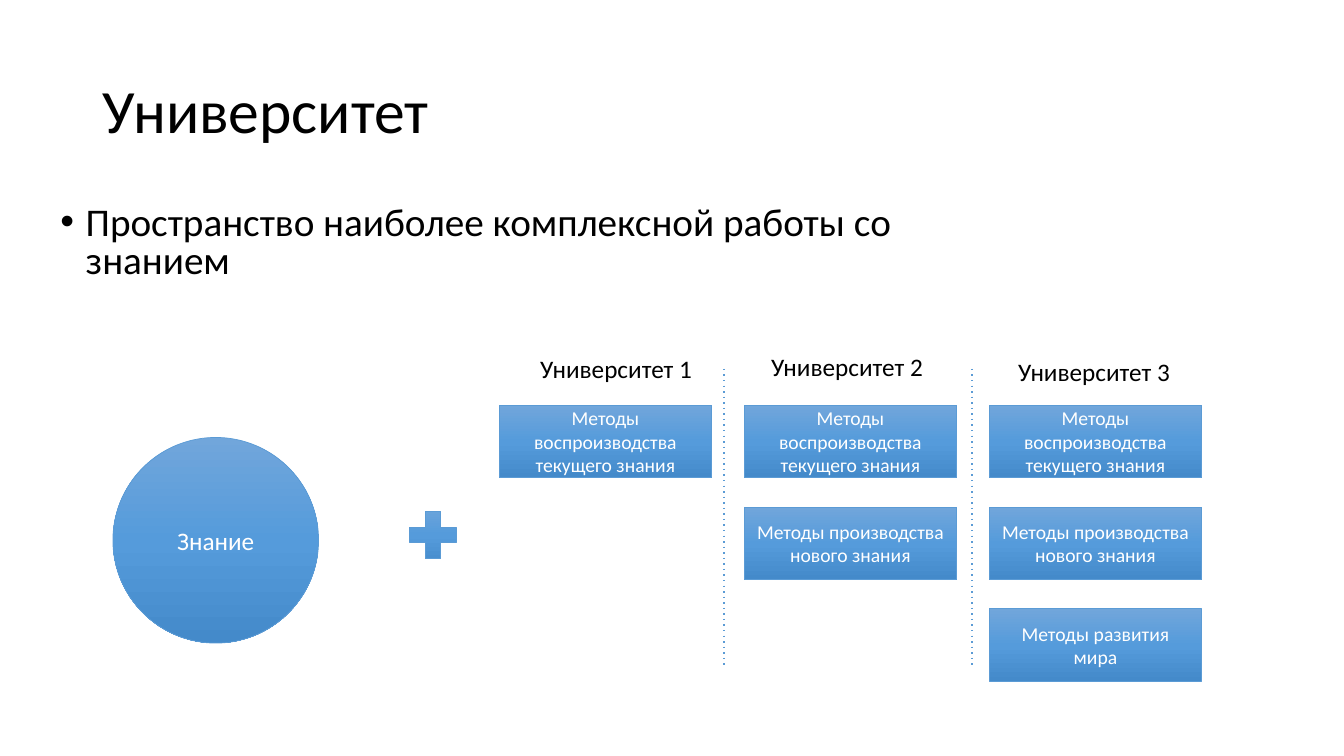
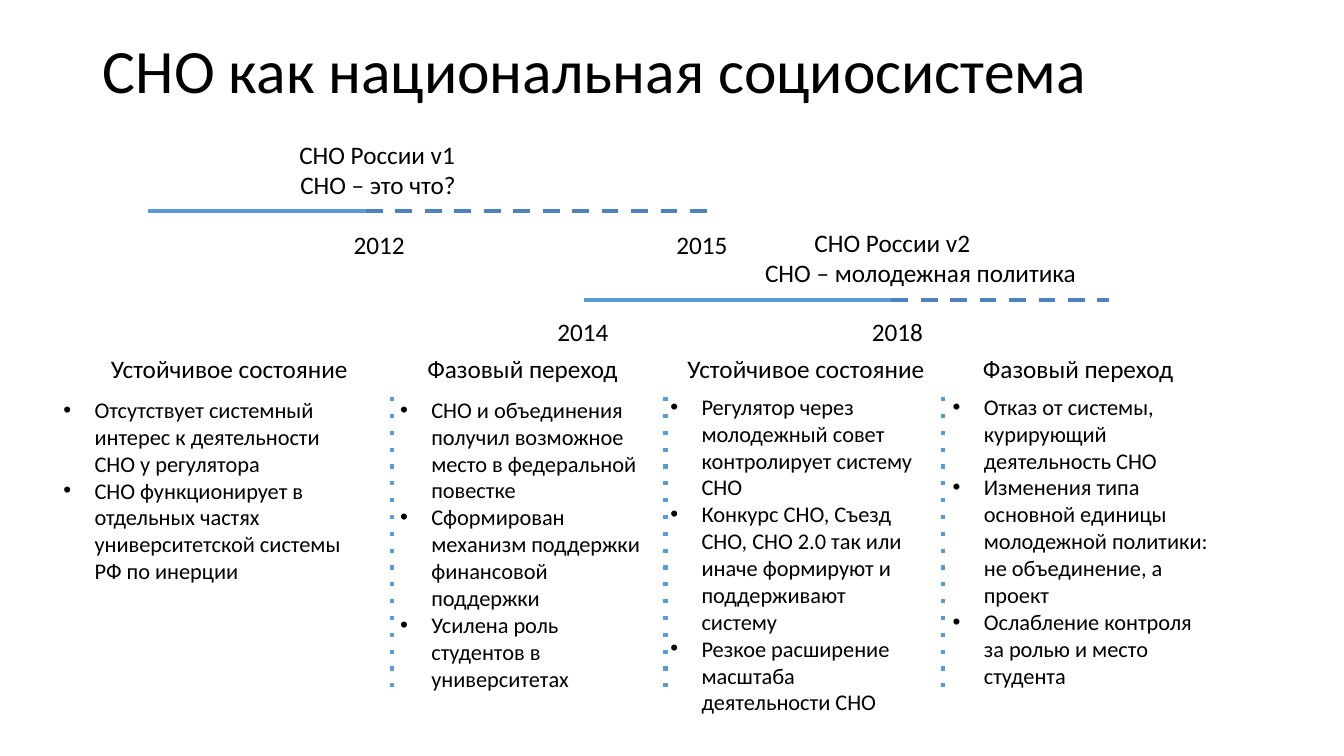
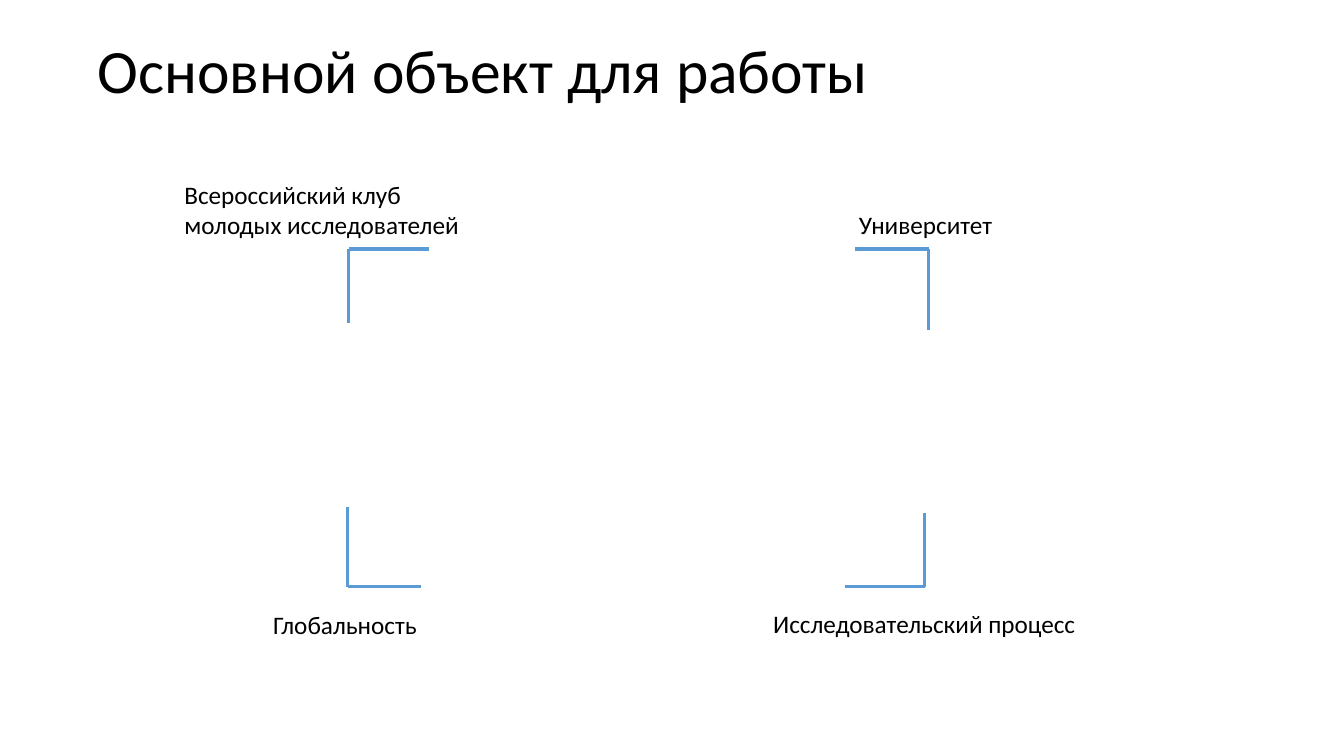
import copy
import dataclasses
import typing

import lxml.etree
import pptx
import pptx.dml.color
import pptx.enum.dml
import pptx.enum.shapes
import pptx.enum.text
import pptx.oxml.ns
import pptx.slide
import pptx.util

Inches = pptx.util.Inches
Pt = pptx.util.Pt
qn = pptx.oxml.ns.qn
Align = pptx.enum.text.PP_ALIGN
Anchor = pptx.enum.text.MSO_ANCHOR
AutoSize = pptx.enum.text.MSO_AUTO_SIZE
Preset = pptx.enum.shapes.MSO_SHAPE

FONT = "Calibri"
BLACK, WHITE = "000000", "FFFFFF"
BLUE, DARK_BLUE = "5B9BD5", "4F81BD"
GRADIENT = ((0, "71A6DB"), (0.5, "559BDB"), (1, "448ACA"))
TITLE_ONLY, TITLE_AND_BODY = 5, 1
LABEL_HEIGHT = 0.4
BULLET_INDENT = 0.31

TITLE_FRAME = {"vertical_anchor": Anchor.MIDDLE, "auto_size": AutoSize.NONE, "word_wrap": True}
TITLE_PARAGRAPH = {"alignment": Align.LEFT, "line_spacing": 0.9}
BODY_FRAME = {"vertical_anchor": Anchor.TOP, "auto_size": AutoSize.NONE, "word_wrap": True}
BODY_PARAGRAPH = {"alignment": Align.LEFT, "line_spacing": 0.8, "space_before": Pt(10)}
SHAPE_FRAME = {"vertical_anchor": Anchor.MIDDLE, "word_wrap": True}
LABEL_FRAME = {"word_wrap": False, "auto_size": AutoSize.SHAPE_TO_FIT_TEXT}
LIST_FRAME = {"word_wrap": True, "auto_size": AutoSize.SHAPE_TO_FIT_TEXT}


@dataclasses.dataclass(frozen=True)
class Box:
    left: float
    top: float
    width: float
    height: float = LABEL_HEIGHT

    def emu(self) -> tuple[int, ...]:
        return tuple(Inches(v) for v in dataclasses.astuple(self))


@dataclasses.dataclass(frozen=True)
class Label:
    box: Box
    text: str


@dataclasses.dataclass(frozen=True)
class Line:
    x1: float
    y1: float
    x2: float
    y2: float
    width: float = 3
    color: str = BLUE
    dash: str = "solid"


@dataclasses.dataclass(frozen=True)
class Phase:
    heading: Label
    box: Box
    items: tuple[str, ...]


@dataclasses.dataclass(frozen=True)
class Corner:
    """A corner point with the signed lengths of its two arms."""
    x: float
    y: float
    dx: float
    dy: float


def rgb(value: str) -> pptx.dml.color.RGBColor:
    return pptx.dml.color.RGBColor.from_string(value)


def apply(target: typing.Any, values: dict[str, typing.Any]) -> None:
    for name, value in values.items():
        setattr(target, name, value)


def place(sp: typing.Any, box: Box) -> None:
    apply(sp, dict(zip(("left", "top", "width", "height"), box.emu())))


def write(sp: typing.Any, lines: typing.Iterable[str], size: float, color: str,
          frame: dict[str, typing.Any], paragraph: dict[str, typing.Any]) -> None:
    tf = sp.text_frame
    apply(tf, frame)
    for i, text in enumerate(lines):
        p = tf.add_paragraph() if i else tf.paragraphs[0]
        apply(p, paragraph)
        r = p.add_run()
        r.text = text
        apply(r.font, {"name": FONT, "size": Pt(size)})
        r.font.color.rgb = rgb(color)


def add_bullets(sp: typing.Any, indent: float) -> None:
    for p in sp.text_frame.paragraphs:
        ppr = p._p.get_or_add_pPr()
        ppr.set("marL", str(Inches(indent)))
        ppr.set("indent", str(-Inches(indent)))
        lxml.etree.SubElement(ppr, qn("a:buFont")).set("typeface", "Arial")
        lxml.etree.SubElement(ppr, qn("a:buChar")).set("char", "•")


def add_slide(prs: typing.Any, layout: int, title: str, left: float = 0.92,
              top: float = 0) -> pptx.slide.Slide:
    s = prs.slides.add_slide(prs.slide_layouts[layout])
    place(s.shapes.title, Box(left, top, 11.5, 1.45))
    write(s.shapes.title, [title], 44, BLACK, TITLE_FRAME, TITLE_PARAGRAPH)
    return s


def add_label(s: pptx.slide.Slide, label: Label) -> None:
    sp = s.shapes.add_textbox(*label.box.emu())
    write(sp, label.text.split("\n"), 18, BLACK, LABEL_FRAME, {})


def add_list(s: pptx.slide.Slide, box: Box, items: tuple[str, ...]) -> None:
    sp = s.shapes.add_textbox(*box.emu())
    write(sp, items, 16, BLACK, LIST_FRAME, {})
    add_bullets(sp, BULLET_INDENT)


def add_line(s: pptx.slide.Slide, line: Line) -> None:
    ends = (Inches(v) for v in (line.x1, line.y1, line.x2, line.y2))
    sp = s.shapes.add_connector(pptx.enum.shapes.MSO_CONNECTOR.STRAIGHT, *ends)
    sp.line.width = Pt(line.width)
    sp.line.color.rgb = rgb(line.color)
    sppr = sp._element.spPr
    lxml.etree.SubElement(sppr.find(qn("a:ln")), qn("a:prstDash")).set("val", line.dash)
    lxml.etree.SubElement(sppr, qn("a:effectLst"))


def add_gradient_shape(s: pptx.slide.Slide, preset: typing.Any, box: Box,
                       text: str = "", size: float = 14) -> None:
    sp = s.shapes.add_shape(preset, *box.emu())
    sp.shadow.inherit = False
    sp.fill.gradient()
    sp.fill.gradient_angle = 270
    stops = sp._element.spPr.find(qn("a:gradFill")).find(qn("a:gsLst"))
    stops.insert(1, copy.deepcopy(stops[0]))
    for stop, (position, color) in zip(sp.fill.gradient_stops, GRADIENT):
        stop.position = position
        stop.color.rgb = rgb(color)
    sp.line.color.rgb = rgb(BLUE)
    sp.line.width = Pt(0.5)
    if text:
        write(sp, [text], size, WHITE, SHAPE_FRAME, {"alignment": Align.CENTER})


UNIVERSITIES = (
    Label(Box(5.26, 3.46, 1.73), "Университет 1"),
    Label(Box(7.55, 3.44, 1.73), "Университет 2"),
    Label(Box(10, 3.49, 1.73), "Университет 3"),
)
METHODS = (
    "Методы воспроизводства текущего знания",
    "Методы производства нового знания",
    "Методы развития мира",
)

TIMELINE = (
    Line(1.47, 2.09, 3.63, 2.09),
    Line(3.63, 2.09, 7.11, 2.09, color=DARK_BLUE, dash="dash"),
    Line(5.79, 2.98, 8.84, 2.98),
    Line(8.84, 2.98, 11, 2.98, color=DARK_BLUE, dash="dash"),
)
TIMELINE_LABELS = (
    Label(Box(3.41, 2.23, 0.71), "2012"),
    Label(Box(6.61, 2.23, 0.71), "2015"),
    Label(Box(8.55, 3.09, 0.71), "2018"),
    Label(Box(5.43, 3.09, 0.71), "2014"),
    Label(Box(2.88, 1.63, 1.77), "СНО – это что?"),
    Label(Box(2.87, 1.33, 1.77), "СНО России v1"),
    Label(Box(7.49, 2.5, 3.34), "СНО – молодежная политика"),
    Label(Box(7.98, 2.21, 1.77), "СНО России v2"),
)
DIVIDERS = (3.89, 6.6, 9.35)
PHASES = (
    Phase(Label(Box(1, 3.46, 2.59), "Устойчивое состояние"), Box(0.53, 3.88, 3.16, 1.99), (
        "Отсутствует системный интерес к деятельности СНО у регулятора",
        "СНО функционирует в отдельных частях университетской системы РФ по инерции",
    )),
    Phase(Label(Box(4.14, 3.46, 2.12), "Фазовый переход"), Box(3.87, 3.88, 2.73, 3.06), (
        "СНО и объединения получил возможное место в федеральной повестке",
        "Сформирован механизм поддержки финансовой поддержки",
        "Усилена роль студентов в университетах",
    )),
    Phase(Label(Box(6.72, 3.46, 2.59), "Устойчивое состояние"), Box(6.55, 3.85, 2.73, 3.33), (
        "Регулятор через молодежный совет контролирует систему СНО",
        "Конкурс СНО, Съезд СНО, СНО 2.0 так или иначе формируют и поддерживают систему",
        "Резкое расширение масштаба деятельности СНО",
    )),
    Phase(Label(Box(9.65, 3.46, 2.12), "Фазовый переход"), Box(9.35, 3.85, 2.73, 3.06), (
        "Отказ от системы, курирующий деятельность СНО",
        "Изменения типа основной единицы молодежной политики: не объединение, а проект",
        "Ослабление контроля за ролью и место студента",
    )),
)

CORNERS = (
    Corner(3.46, 2.47, 0.79, 0.73),
    Corner(9.21, 2.47, -0.73, 0.8),
    Corner(3.45, 5.82, 0.73, -0.79),
    Corner(9.17, 5.82, -0.79, -0.73),
)
CORNER_LABELS = (
    Label(Box(1.73, 1.73, 2.98, 0.71), "Всероссийский клуб\nмолодых исследователей"),
    Label(Box(8.42, 2.03, 1.55), "Университет"),
    Label(Box(2.61, 6, 1.67), "Глобальность"),
    Label(Box(7.57, 5.99, 3.25), "Исследовательский процесс"),
)


def build_university(prs: typing.Any) -> None:
    s = add_slide(prs, TITLE_AND_BODY, "Университет", top=0.4)
    body = s.placeholders[1]
    place(body, Box(0.5, 2, 9, 0.93))
    write(body, ["Пространство наиболее комплексной работы со знанием"], 28, BLACK,
          BODY_FRAME, BODY_PARAGRAPH)
    add_bullets(body, 0.25)
    add_gradient_shape(s, Preset.OVAL, Box(1.12, 4.34, 2.04, 2.04), "Знание", 18)
    add_gradient_shape(s, Preset.MATH_PLUS, Box(3.98, 4.99, 0.63, 0.63))
    for x in (7.18, 9.64):
        add_line(s, Line(x, 3.66, x, 6.63, width=1, dash="dot"))
    for column, university in enumerate(UNIVERSITIES):
        add_label(s, university)
        for row, method in enumerate(METHODS[:column + 1]):
            box = Box(4.95 + 2.43 * column, 4.02 + 1.01 * row, 2.11, 0.72)
            add_gradient_shape(s, Preset.RECTANGLE, box, method)


def build_phases(prs: typing.Any) -> None:
    s = add_slide(prs, TITLE_ONLY, "СНО как национальная социосистема")
    for line in TIMELINE:
        add_line(s, line)
    for x in DIVIDERS:
        add_line(s, Line(x, 3.94, x, 6.91, dash="dot"))
    for label in TIMELINE_LABELS:
        add_label(s, label)
    for phase in PHASES:
        add_label(s, phase.heading)
        add_list(s, phase.box, phase.items)


def build_work_object(prs: typing.Any) -> None:
    s = add_slide(prs, TITLE_ONLY, "Основной объект для работы", left=0.87)
    for c in CORNERS:
        add_line(s, Line(c.x, c.y, c.x + c.dx, c.y, width=2.25))
        add_line(s, Line(c.x, c.y, c.x, c.y + c.dy, width=2.25))
    for label in CORNER_LABELS:
        add_label(s, label)


def main() -> None:
    prs = pptx.Presentation()
    apply(prs, {"slide_width": Inches(13.33), "slide_height": Inches(7.5)})
    for build in (build_university, build_phases, build_work_object):
        build(prs)
    prs.save("out.pptx")


if __name__ == "__main__":
    main()
